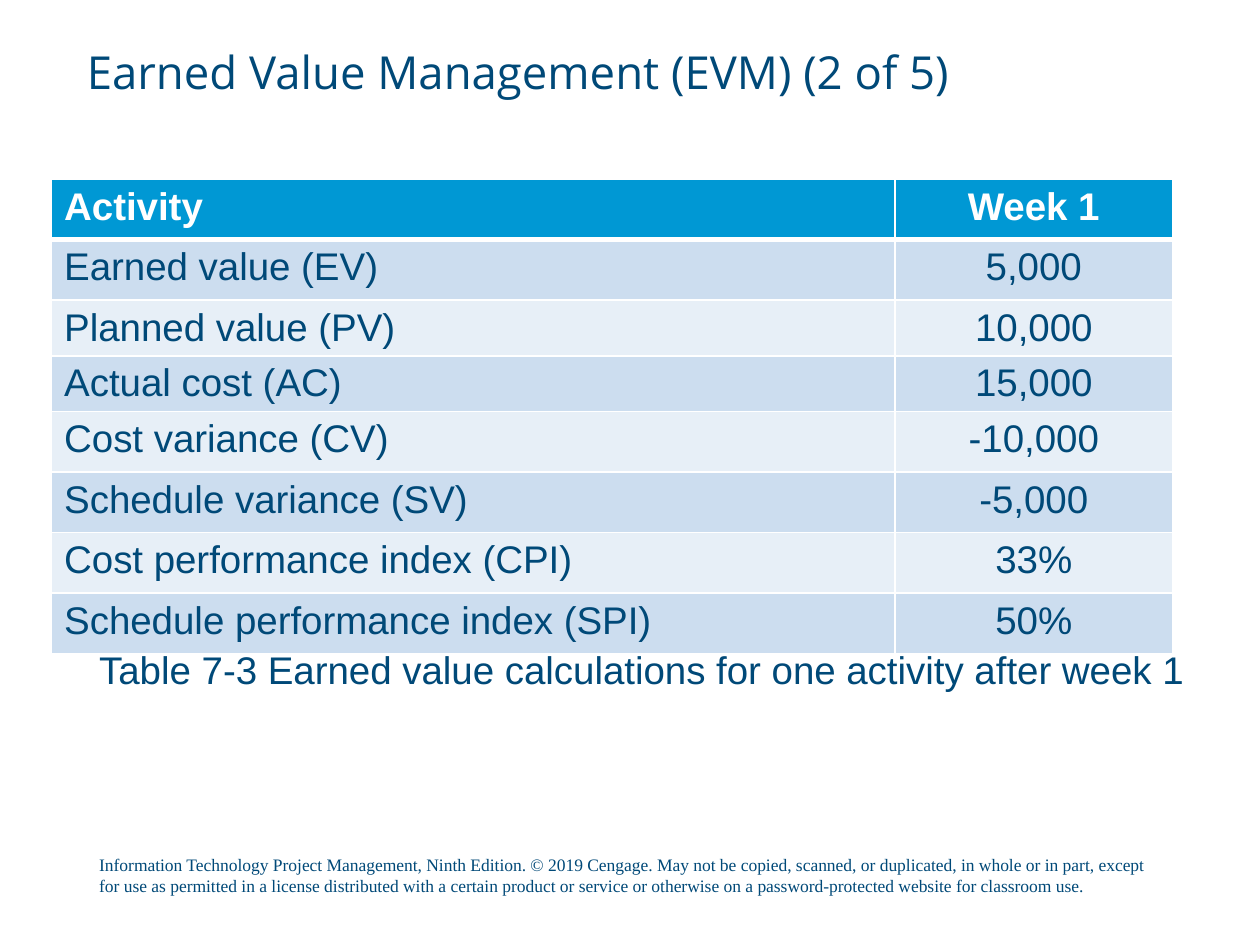
from dataclasses import dataclass

from lxml import etree
from pptx import Presentation
from pptx.dml.color import RGBColor
from pptx.enum.text import MSO_ANCHOR, PP_ALIGN
from pptx.oxml.ns import qn
from pptx.util import Cm, Pt

LEFT, CENTER, TOP = PP_ALIGN.LEFT, PP_ALIGN.CENTER, MSO_ANCHOR.TOP


@dataclass(frozen=True)
class Theme:
    ink: str = "004978"
    white: str = "FFFFFF"
    head: str = "0098D4"
    bands: tuple = ("CCDDEF", "E7EFF7")
    title: tuple = ("Open Sans", 26)
    body: tuple = ("Arial", 22)
    note: tuple = ("Times New Roman", 10)


THEME = Theme()
ROWS = [
    ("Activity", "Week 1"),
    ("Earned value (EV)", "5,000"),
    ("Planned value (PV)", "10,000"),
    ("Actual cost (AC)", "15,000"),
    ("Cost variance (CV)", "-10,000"),
    ("Schedule variance (SV)", "-5,000"),
    ("Cost performance index (CPI)", "33%"),
    ("Schedule performance index (SPI)", "50%"),
]
SHORT_ROWS = (2, 3)
CAPTION = "Table 7-3 Earned value calculations for one activity after week 1"
RIGHTS = (
    "Information Technology Project Management, Ninth Edition. © 2019 Cengage. "
    "May not be copied, scanned, or duplicated, in whole or in part, except for use "
    "as permitted in a license distributed with a certain product or service or "
    "otherwise on a password-protected website for classroom use."
)


def write(frame, text, style, color=THEME.ink, align=LEFT, bold=False):
    para = frame.paragraphs[0]
    para.alignment = align
    run = para.add_run()
    run.text = text
    run.font.name, size = style
    run.font.size = Pt(size)
    run.font.bold = bold
    run.font.color.rgb = RGBColor.from_string(color)
    return para


def add_title(slide, box, text):
    title = slide.shapes.title
    title.left, title.top, title.width, title.height = box
    frame = title.text_frame
    frame.word_wrap = True
    frame.vertical_anchor = TOP
    frame.margin_left = frame.margin_right = 0
    frame.margin_top = frame.margin_bottom = 0
    write(frame, text, THEME.title).line_spacing = 0.9


def add_text(slide, box, text, style):
    frame = slide.shapes.add_textbox(*box).text_frame
    frame.word_wrap = True
    write(frame, text, style)


def add_border(cell, side, width):
    props = cell._tc.get_or_add_tcPr()
    line = etree.SubElement(props, qn("a:ln" + side), w=str(Pt(width)))
    fill = etree.SubElement(line, qn("a:solidFill"))
    etree.SubElement(fill, qn("a:srgbClr"), val=THEME.white)


def add_grid(slide, box, rows):
    left, top, width, height = box
    grid = slide.shapes.add_table(len(rows), 2, left, top, width, height).table
    grid.columns[0].width = Cm(17)
    grid.columns[1].width = width - Cm(17)
    for i, row in enumerate(rows):
        grid.rows[i].height = Cm(0.99 if i in SHORT_ROWS else 1.22)
        head = i == 0
        for j, text in enumerate(row):
            cell = grid.cell(i, j)
            for side in "LRTB":
                thick = (head and side == "B") or (i == 1 and side == "T")
                add_border(cell, side, 3 if thick else 1)
            cell.fill.solid()
            shade = THEME.head if head else THEME.bands[(i - 1) % 2]
            cell.fill.fore_color.rgb = RGBColor.from_string(shade)
            write(cell.text_frame, text, THEME.body,
                  THEME.white if head else THEME.ink,
                  CENTER if j else LEFT, head)


def main():
    deck = Presentation()
    deck.slide_width, deck.slide_height = Cm(25.4), Cm(19.05)
    slide = deck.slides.add_slide(deck.slide_layouts[5])
    edge, wide = Cm(1.75), Cm(21.9)
    add_title(slide, (edge, Cm(1.02), wide, Cm(3.68)),
              "Earned Value Management (EVM) (2 of 5)")
    add_grid(slide, (Cm(1.04), Cm(3.61), Cm(22.6), Cm(9.3)), ROWS)
    add_text(slide, (edge, Cm(12.9), Cm(22.6), Cm(1.2)), CAPTION, THEME.body)
    add_text(slide, (edge, Cm(17.1), wide, Cm(1.02)), RIGHTS, THEME.note)
    deck.save("out.pptx")


if __name__ == "__main__":
    main()
